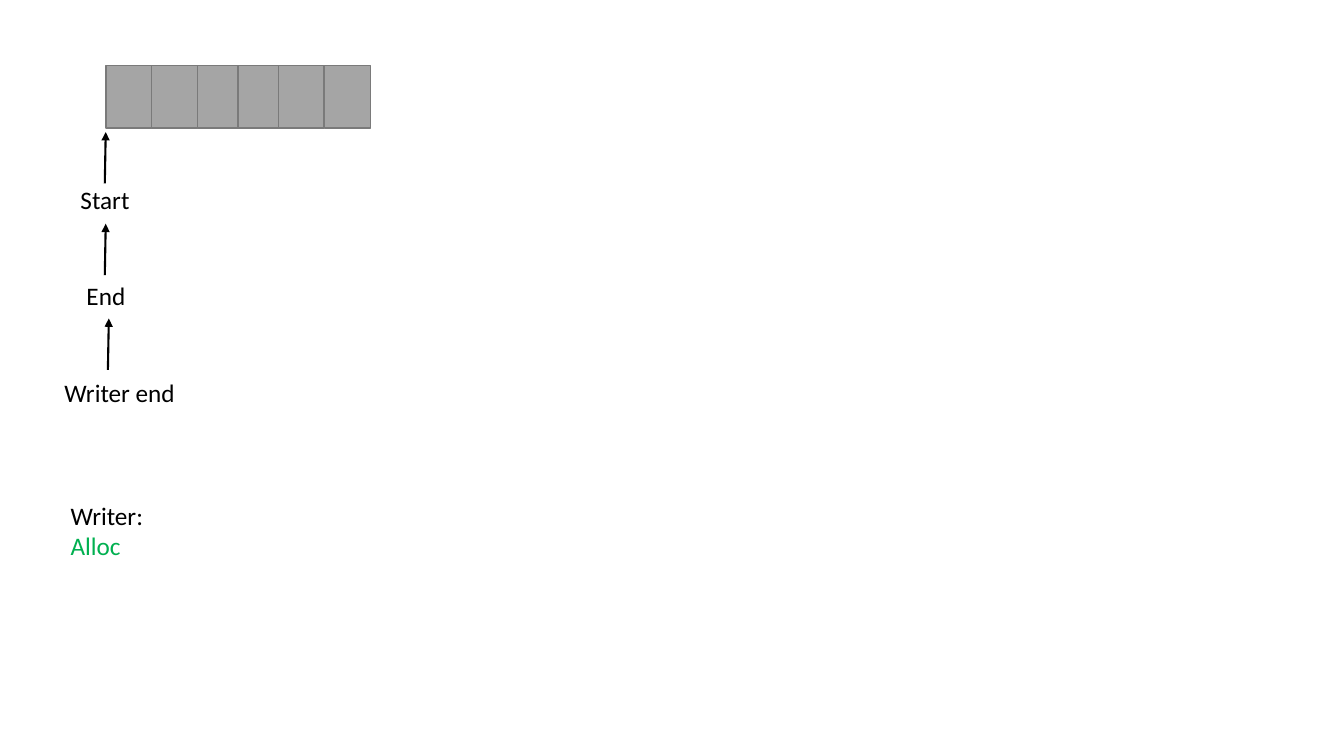
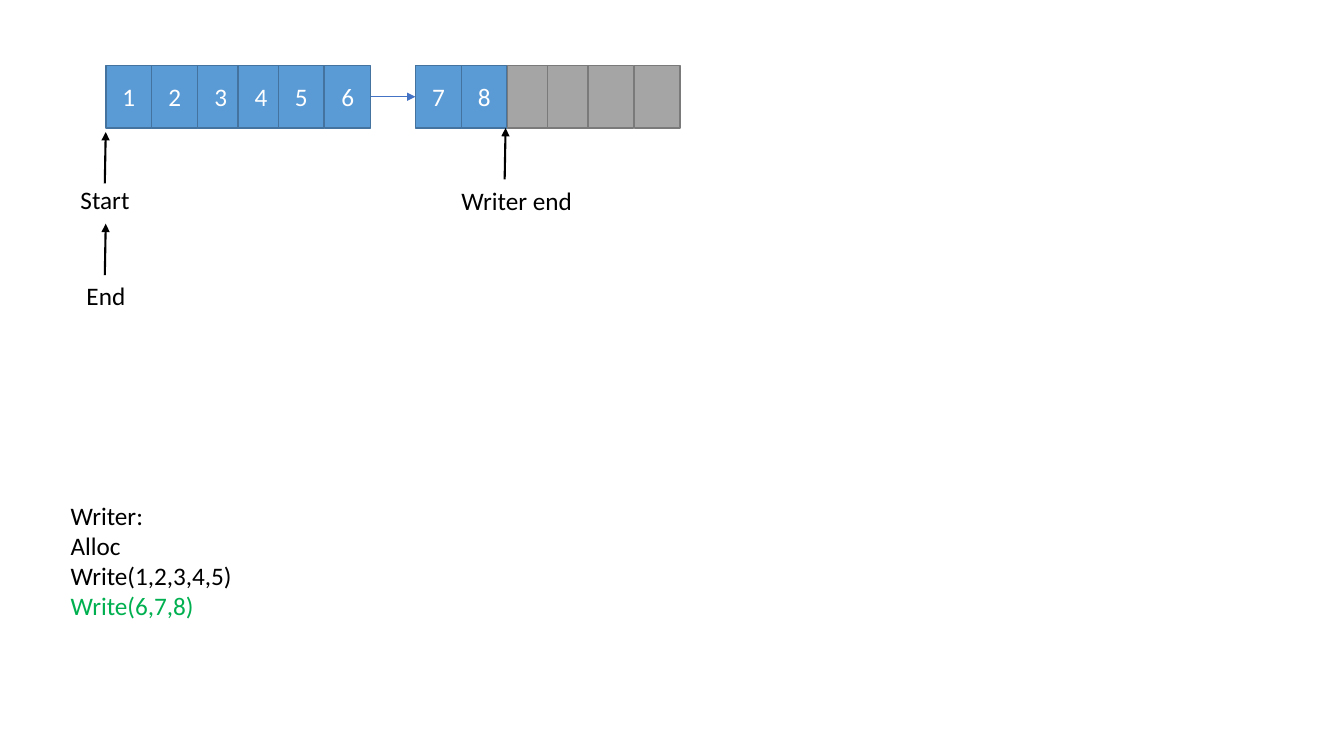
from dataclasses import dataclass

from lxml.etree import SubElement
from pptx import Presentation
from pptx.dml.color import RGBColor
from pptx.enum.shapes import MSO_CONNECTOR, MSO_SHAPE
from pptx.enum.text import MSO_ANCHOR, MSO_AUTO_SIZE, PP_ALIGN
from pptx.oxml.ns import qn
from pptx.shapes.autoshape import Shape
from pptx.shapes.connector import Connector
from pptx.slide import Slide
from pptx.text.text import TextFrame, _Paragraph
from pptx.util import Inches, Length, Pt


@dataclass(frozen=True)
class Theme:
    font: str = "Calibri"
    size: float = 18
    ink: str = "000000"
    paper: str = "FFFFFF"
    current: str = "00B050"
    used: tuple[str, str] = ("5B9BD5", "43739E")  # fill, border
    free: tuple[str, str] = ("A5A5A5", "7A7A7A")
    link: str = "4472C4"
    border_width: float = 1
    pointer_width: float = 1.5
    link_width: float = 0.5


@dataclass(frozen=True)
class Pointer:
    """A label and the arrow above it, in percent of the slide."""
    label: str
    left: float
    top: float
    width: float
    arrow_x: float
    arrow_foot: float


@dataclass(frozen=True)
class Stage:
    """One state of the buffer; empty strings are free cells."""
    blocks: list[list[str]]
    pointers: list[Pointer]
    steps: list[str]
    steps_width: float


THEME = Theme()
SLIDE_W, SLIDE_H = Inches(13.33), Inches(7.5)

# Grid, in percent of the slide's width or height
BLOCK_LEFT, BLOCK_PITCH = 7.88, 23.03
CELL_OFFSETS = (0, 3.41, 6.83, 9.83, 12.83, 16.28)
CELL_TOP, CELL_W, CELL_H = 8.67, 3.41, 8.27
LABEL_H, ARROW_H, ARROW_LEAN = 5.33, 6.8, 0.07
STEPS_LEFT, STEPS_TOP, STEPS_PAD, STEP_H = 4.5, 65.47, 1.47, 4

START = Pointer("Start", 5.25, 23.73, 5.18, 7.8, 24.27)
END = Pointer("End", 5.7, 36.4, 4.43, 7.8, 36.4)

STAGES = [
    Stage([[""] * 6],
          [START, END, Pointer("Writer end", 4.05, 49.2, 9.83, 8.03, 48.93)],
          ["Writer:", "Alloc"], 6.98),
    Stage([["1", "2", "3", "4", "5", "6"], ["7", "8", "", "", "", ""]],
          [START, END, Pointer("Writer end", 33.6, 23.87, 9.83, 37.55, 23.73)],
          ["Writer:", "Alloc", "Write(1,2,3,4,5)", "Write(6,7,8)"], 13.65),
]


def across(percent: float) -> Length:
    return Length(round(SLIDE_W * percent / 100))


def down(percent: float) -> Length:
    return Length(round(SLIDE_H * percent / 100))


def format_text(p: _Paragraph, color: str) -> None:
    for r in p.runs:
        r.font.name = THEME.font
        r.font.size = Pt(THEME.size)
        r.font.color.rgb = RGBColor.from_string(color)


def fit_to_text(tf: TextFrame) -> None:
    tf.word_wrap = False
    tf.auto_size = MSO_AUTO_SIZE.SHAPE_TO_FIT_TEXT


def format_arrow(arrow: Connector, color: str, width: float) -> None:
    arrow.line.color.rgb = RGBColor.from_string(color)
    arrow.line.width = Pt(width)
    SubElement(arrow.line._get_or_add_ln(), qn("a:tailEnd"), type="triangle")
    SubElement(arrow.element.spPr, qn("a:effectLst"))


def add_cell(s: Slide, left: float, value: str) -> Shape:
    fill, border = THEME.used if value else THEME.free
    sp = s.shapes.add_shape(MSO_SHAPE.RECTANGLE, across(left), down(CELL_TOP),
                            across(CELL_W), down(CELL_H))
    sp.shadow.inherit = False
    sp.fill.solid()
    sp.fill.fore_color.rgb = RGBColor.from_string(fill)
    sp.line.color.rgb = RGBColor.from_string(border)
    sp.line.width = Pt(THEME.border_width)
    if value:
        tf = sp.text_frame
        tf.text = value
        tf.vertical_anchor = MSO_ANCHOR.MIDDLE
        p = tf.paragraphs[0]
        p.alignment = PP_ALIGN.CENTER
        format_text(p, THEME.paper)
    return sp


def add_block(s: Slide, index: int, values: list[str]) -> list[Shape]:
    left = BLOCK_LEFT + index * BLOCK_PITCH
    return [add_cell(s, left + offset, value)
            for offset, value in zip(CELL_OFFSETS, values)]


def add_link(s: Slide, last: Shape, first: Shape) -> None:
    link = s.shapes.add_connector(MSO_CONNECTOR.STRAIGHT, 0, 0, 0, 0)
    link.begin_connect(last, 3)  # right side
    link.end_connect(first, 1)  # left side
    format_arrow(link, THEME.link, THEME.link_width)


def add_pointer(s: Slide, pointer: Pointer) -> None:
    group = s.shapes.add_group_shape()
    arrow = group.shapes.add_connector(
        MSO_CONNECTOR.STRAIGHT,
        across(pointer.arrow_x), down(pointer.arrow_foot),
        across(pointer.arrow_x + ARROW_LEAN),
        down(pointer.arrow_foot - ARROW_H))
    format_arrow(arrow, THEME.ink, THEME.pointer_width)
    label = group.shapes.add_textbox(across(pointer.left), down(pointer.top),
                                     across(pointer.width), down(LABEL_H))
    tf = label.text_frame
    tf.text = pointer.label
    fit_to_text(tf)
    format_text(tf.paragraphs[0], THEME.ink)


def fill_steps(s: Slide, steps: list[str], width: float) -> None:
    body = s.placeholders[1]
    body.left, body.top = across(STEPS_LEFT), down(STEPS_TOP)
    body.width = across(width)
    body.height = down(STEPS_PAD + STEP_H * len(steps))
    tf = body.text_frame
    tf.text = "\n".join(steps)
    fit_to_text(tf)
    for p in tf.paragraphs:
        p.space_before = Pt(0)
        pPr = p._p.get_or_add_pPr()
        pPr.set("marL", "0")
        pPr.set("indent", "0")
        SubElement(pPr, qn("a:buNone"))
        format_text(p, THEME.ink)
    format_text(tf.paragraphs[-1], THEME.current)  # the step just taken


def add_stage(prs: Presentation, stage: Stage) -> None:
    s = prs.slides.add_slide(prs.slide_layouts.get_by_name("Title and Content"))
    title = s.shapes.title.element
    title.getparent().remove(title)

    # Buffer blocks and the links between them
    blocks = [add_block(s, i, values) for i, values in enumerate(stage.blocks)]
    for before, after in zip(blocks, blocks[1:]):
        add_link(s, before[-1], after[0])

    # Pointers into the buffer
    for pointer in stage.pointers:
        add_pointer(s, pointer)

    # Writer's steps so far
    fill_steps(s, stage.steps, stage.steps_width)


prs = Presentation()
prs.slide_width, prs.slide_height = SLIDE_W, SLIDE_H
for stage in STAGES:
    add_stage(prs, stage)
prs.save("out.pptx")
